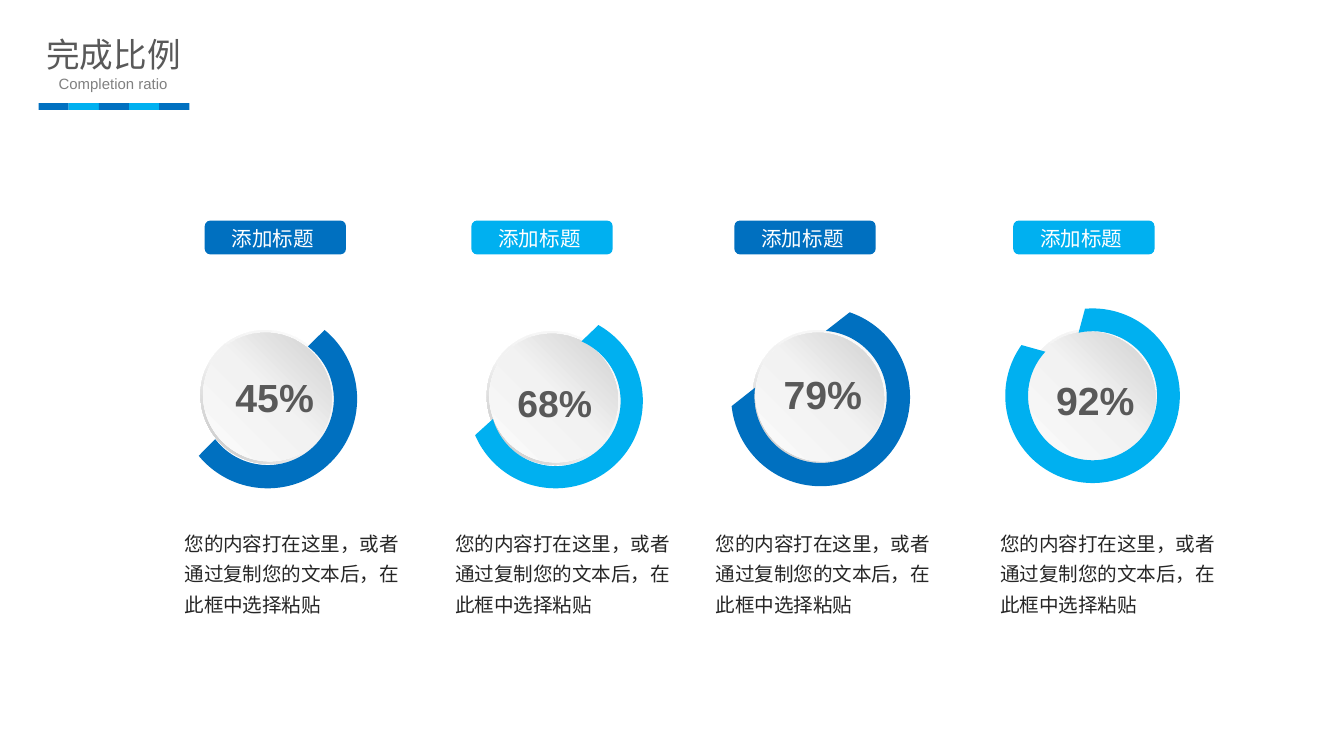
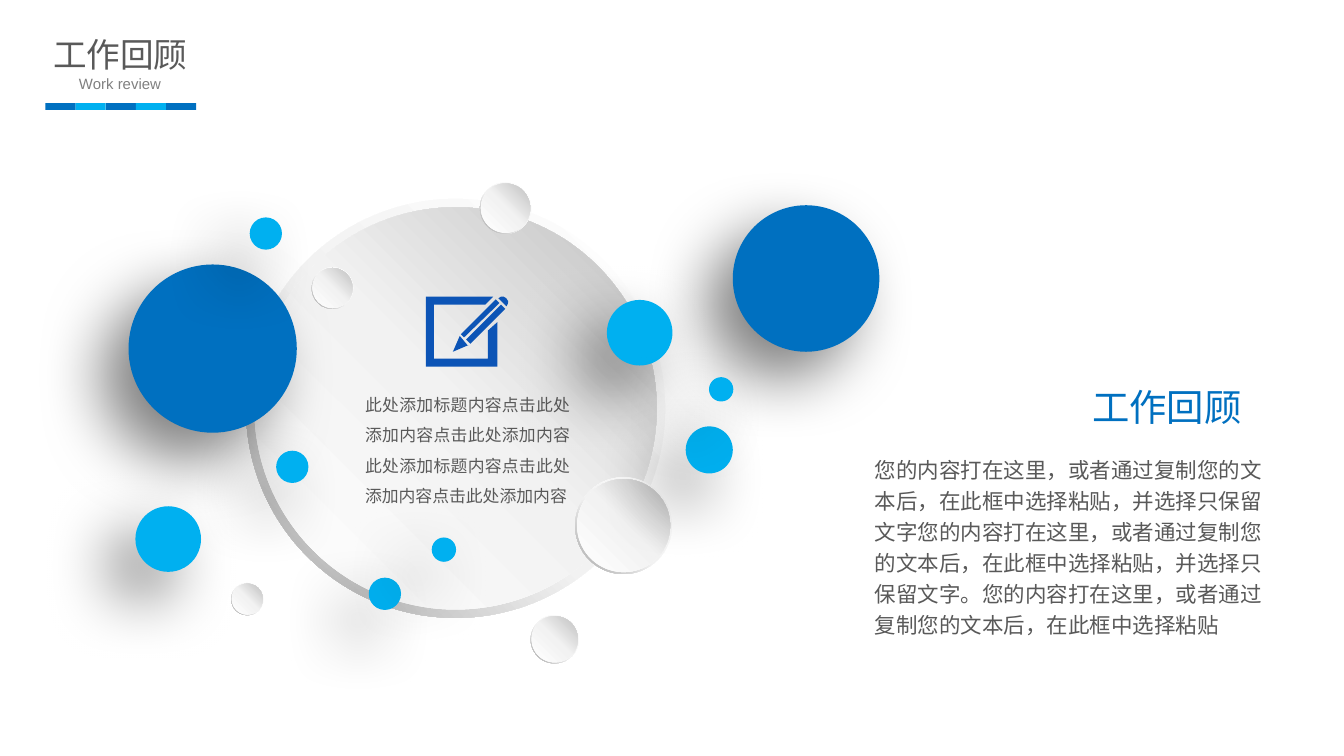
from dataclasses import dataclass
from math import cos, radians, sin, tan

from lxml import etree
from pptx import Presentation
from pptx.dml.color import RGBColor
from pptx.enum import shapes, text
from pptx.oxml import ns
from pptx.util import Cm, Pt

KIND = shapes.MSO_SHAPE
ALIGN = text.PP_ALIGN


@dataclass(frozen=True)
class Theme:
    blue: str = "0070C0"
    sky: str = "00B0F0"
    ink: str = "0C54B6"
    dark: str = "262626"
    grey: str = "595959"
    pale: str = "808080"
    white: str = "FFFFFF"
    font: str = "Arial"
    title: float = 18
    sub: float = 8
    tag: float = 11
    body: float = 10.5
    small: float = 9
    head: float = 20
    long: float = 11.5
    rim: tuple = ((0, "FFFFFF"), (55, "F2F2F2"), (100, "A6A6A6"))
    face: tuple = ((0, "FFFFFF"), (51, "F2F2F2"), (100, "BFBFBF"))


T = Theme()


def style(frame, words, size, color, align=None, bold=False, space=None,
          pad=(0.25, 0.13), wrap=True):
    """Fill a text frame with one formatted paragraph."""
    frame.text = words
    frame.word_wrap = wrap
    frame.auto_size = text.MSO_AUTO_SIZE.SHAPE_TO_FIT_TEXT
    frame.vertical_anchor = text.MSO_ANCHOR.TOP
    frame.margin_left = frame.margin_right = Cm(pad[0])
    frame.margin_top = frame.margin_bottom = Cm(pad[1])
    para = frame.paragraphs[0]
    para.alignment = align
    if space:
        para.line_spacing = space
    font = para.runs[0].font
    font.name, font.size, font.bold = T.font, Pt(size), bold
    font.color.rgb = RGBColor.from_string(color)


def write(slide, box, *args, **opts):
    label = slide.shapes.add_textbox(*map(Cm, box))
    style(label.text_frame, *args, **opts)


def paint(shape, color):
    shape.shadow.inherit = False
    shape.line.fill.background()
    shape.fill.solid()
    shape.fill.fore_color.rgb = RGBColor.from_string(color)


def draw(slide, kind, box, color):
    shape = slide.shapes.add_shape(kind, *map(Cm, box))
    paint(shape, color)
    return shape


def child(parent, tag, **attrs):
    return etree.SubElement(parent, ns.qn(tag), attrs)


def trace(slide, start, parts, color):
    """Draw a closed outline; a part is one line end or three curve points."""
    spots = [(Cm(x), Cm(y)) for part in parts for x, y in part]
    pen = slide.shapes.build_freeform(Cm(start[0]), Cm(start[1]))
    pen.add_line_segments(spots, close=True)
    shape = pen.convert_to_shape()
    paint(shape, color)
    route = next(shape._element.iter(ns.qn("a:path")))
    lines = iter(route.findall(ns.qn("a:lnTo")))
    for part in parts:
        group = [next(lines) for _ in part]
        if len(group) == 3:
            curve = child(route, "a:cubicBezTo")
            group[0].addprevious(curve)
            for line in group:
                curve.append(line[0])
                route.remove(line)
    return shape


def shade(shape, stops, angle):
    """Give a gradient that stays put when the shape turns."""
    shape.fill.gradient()
    grad = shape._element.spPr.find(ns.qn("a:gradFill"))
    grad.set("rotWithShape", "0")
    grad.find(ns.qn("a:lin")).set("ang", str(angle * 60000))
    items = grad.find(ns.qn("a:gsLst"))
    for item in list(items):
        items.remove(item)
    for place, color in stops:
        stop = child(items, "a:gs", pos=str(place * 1000))
        child(stop, "a:srgbClr", val=color)


def cast(shape):
    """Add a soft shadow towards the lower left."""
    effects = shape._element.spPr.find(ns.qn("a:effectLst"))
    outer = child(effects, "a:outerShdw", blurRad=str(Pt(35)), dist=str(Pt(20)),
                  dir=str(135 * 60000), algn="tr", rotWithShape="0")
    tint = child(outer, "a:srgbClr", val="000000")
    child(tint, "a:alpha", val="50000")


def inset(box, share):
    x, y, w, h = box
    gap = w * share
    return x + gap, y + gap, w - 2 * gap, h - 2 * gap


def ball(slide, box, turn=0):
    """Draw a grey disc with a raised rim."""
    rim = draw(slide, KIND.DONUT, box, T.white)
    rim.adjustments[0] = 0.049
    face = draw(slide, KIND.OVAL, inset(box, 0.02), T.white)
    for shape, stops, angle in ((rim, T.rim, 135), (face, T.face, 315)):
        shade(shape, stops, angle)
        shape.rotation = turn


def dot(slide, x, y, size, color):
    box = x, y, size, size
    cast(draw(slide, KIND.OVAL, box, color))
    draw(slide, KIND.OVAL, inset(box, 0.025), color)


def polar(mid, radius, angle):
    a = radians(angle)
    return mid[0] + radius * cos(a), mid[1] + radius * sin(a)


def arc(mid, radius, stops):
    """Return one curve for each pair of neighbouring angles."""
    curves = []
    for a, b in zip(stops, stops[1:]):
        pull = radius * 4 / 3 * tan(radians(b - a) / 4)
        end = polar(mid, radius, b)
        curves.append((polar(polar(mid, radius, a), pull, a + 90),
                       polar(end, -pull, b + 90), end))
    return curves


def ring(slide, mid, radii, outer, inner, turn, color):
    """Draw a band between two arcs, laid flat and then turned."""
    far, near = [(a - turn, 0, 90, 180, b - turn) for a, b in (outer, inner)]
    big, small = radii
    parts = arc(mid, big, far)
    parts.append((polar(mid, small, near[-1]),))
    parts += arc(mid, small, near[::-1])
    band = trace(slide, polar(mid, big, far[0]), parts, color)
    mx, my = map(Cm, mid)
    dx = band.left + band.width / 2 - mx
    dy = band.top + band.height / 2 - my
    c, s = cos(radians(turn)), sin(radians(turn))
    band.left = int(mx + dx * c - dy * s - band.width / 2)
    band.top = int(my + dx * s + dy * c - band.height / 2)
    band.rotation = turn % 360


def header(slide, left, name, sub):
    """Place the title, its subtitle and the striped bar."""
    title = slide.shapes.title
    title.left, title.top = Cm(left - 0.06), Cm(0.55)
    title.width, title.height = Cm(2.95), Cm(0.97)
    style(title.text_frame, name, T.title, T.grey, ALIGN.CENTER,
          pad=(0.18, 0.1), wrap=False)
    write(slide, (left - 1.04, 1.28, 4.9, 0.61), sub, T.sub, T.pale, ALIGN.CENTER)
    for i in range(5):
        box = left + 0.57 * i, 1.95, 0.57, 0.13
        draw(slide, KIND.RECTANGLE, box, (T.blue, T.sky)[i % 2])


def dial(slide, x, y, rate):
    """Draw a disc with its rate."""
    words, size, dx, dy = rate
    ball(slide, (x, y, 2.49, 2.57), 315)
    write(slide, (x + dx, y + dy, 2.3, 1.14), words, size, T.grey, bold=True)


def badge(slide, x, y, color):
    draw(slide, KIND.FLOWCHART_ALTERNATE_PROCESS, (x, y, 2.67, 0.64), color)
    write(slide, (x + 0.25, y - 0.03, 2.08, 0.74), "添加标题", T.tag, T.white,
          ALIGN.CENTER, wrap=False)


def ratio(slide):
    header(slide, 0.73, "完成比例", "Completion ratio")
    note = "您的内容打在这里，或者通过复制您的文本后，在此框中选择粘贴"
    # left of badge, dial and note; top of dial; rate, size and shift
    columns = (
        (3.87, 3.81, 3.29, 6.22, ("45%", 21, 0.39, 0.71)),
        (8.91, 9.22, 8.41, 6.24, ("68%", 20, 0.31, 0.81)),
        (13.88, 14.25, 13.33, 6.22, ("79%", 21, 0.31, 0.65)),
        (19.15, 19.38, 18.71, 6.2, ("92%", 21, 0.33, 0.79)),
    )
    # shift of centre, radii, outer angles, inner angles, turn
    bands = (
        ((1.25, 1.32), (1.69, 1.25), (-50.5, 140.5), (-52.5, 142.5), -45),
        ((1.28, 1.34), (1.65, 1.23), (-60.5, 157), (-66.5, 164), -41.9),
        ((1.26, 1.28), (1.69, 1.25), (-71, 174), (-85.5, 188), -38.5),
        ((1.27, 1.28), (1.65, 1.22), (-95, 215.5), (-102.5, 223), -29.8),
    )
    for column, band in zip(columns, bands):
        dial(slide, column[1], column[3], column[4])
    for i, ((tag, disc, body, top, _), band) in enumerate(zip(columns, bands)):
        color = (T.blue, T.sky)[i % 2]
        (dx, dy), *shape = band
        ring(slide, (disc + dx, top + dy), *shape, color)
        badge(slide, tag, 4.17, color)
        write(slide, (body, 9.82, 4.57, 1.93), note, T.body, T.dark,
              space=1.3, pad=(0.2, 0.1))


def pencil(slide, x, y):
    """Draw a pencil over an open square."""
    tip = (0.79, 0.97), (0.64, 0.79), (0.51, 1.09)
    upper = (1.32, 0.1), (0.66, 0.76), (0.72, 0.82), (1.39, 0.17)
    lower = (0.76, 0.86), (0.84, 0.94), (1.5, 0.28), (1.42, 0.2)
    frame = ((1.17, 1.22), (0.15, 1.22), (0.15, 0.2), (1.12, 0.2), (1.27, 0.05),
             (0, 0.05), (0, 1.37), (1.35, 1.37), (1.35, 0.53), (1.17, 0.69))
    cap = ((1.52, 0.08), (1.45, 0), (1.37, 0.08), (1.37, 0.08), (1.52, 0.23),
           (1.52, 0.23), (1.52, 0.23), (1.52, 0.23), (1.6, 0.15), (1.52, 0.08))
    for outline, step in ((tip, 1), (upper, 1), (lower, 1), (cap, 3), (frame, 1)):
        start, *rest = [(x + px, y + py) for px, py in outline]
        parts = [rest[i:i + step] for i in range(0, len(rest), step)]
        trace(slide, start, parts, T.ink)
    draw(slide, KIND.RECTANGLE, (x + 0.79, y + 0.97, 0.01, 0.01), T.ink)


def review(slide):
    header(slide, 0.86, "工作回顾", "Work review")
    balls = ((4.65, 3.76, 7.92), (10.87, 9.02, 1.83), (5.89, 5.05, 0.79),
             (10.03, 11.63, 0.91), (9.07, 3.45, 0.97), (4.37, 11.02, 0.61))
    for x, y, size in balls:
        ball(slide, (x, y, size, size))
    pencil(slide, 8.05, 5.56)
    write(slide, (6.65, 7.14, 4.37, 2.57),
          "此处添加标题内容点击此处添加内容点击此处添加内容"
          "此处添加标题内容点击此处添加内容点击此处添加内容",
          T.small, T.grey, ALIGN.JUSTIFY, space=1.5)
    write(slide, (19.3, 7.14, 4.42, 1.12), "工作回顾", T.head, T.blue, ALIGN.RIGHT)
    write(slide, (16.35, 8.45, 7.77, 3.73),
          "您的内容打在这里，或者通过复制您的文本后，在此框中选择粘贴，并选择只保留文字"
          "您的内容打在这里，或者通过复制您的文本后，在此框中选择粘贴，并选择只保留文字。"
          "您的内容打在这里，或者通过复制您的文本后，在此框中选择粘贴",
          T.long, T.grey, space=1.2, pad=(0.18, 0.1))
    large = (13.85, 3.88, 2.77), (2.43, 5, 3.18)
    small = ((2.56, 9.57, 1.24), (5.22, 8.52, 0.61), (4.72, 4.11, 0.61),
             (6.97, 10.92, 0.61), (8.16, 10.16, 0.46), (11.47, 5.67, 1.24),
             (12.96, 8.06, 0.89), (13.4, 7.13, 0.46))
    for color, group in ((T.blue, large), (T.sky, small)):
        for place in group:
            dot(slide, *place, color)


def main():
    deck = Presentation()
    deck.slide_width, deck.slide_height = Cm(25.4), Cm(14.29)
    for build in (ratio, review):
        build(deck.slides.add_slide(deck.slide_layouts[5]))
    deck.save("out.pptx")


if __name__ == "__main__":
    main()
